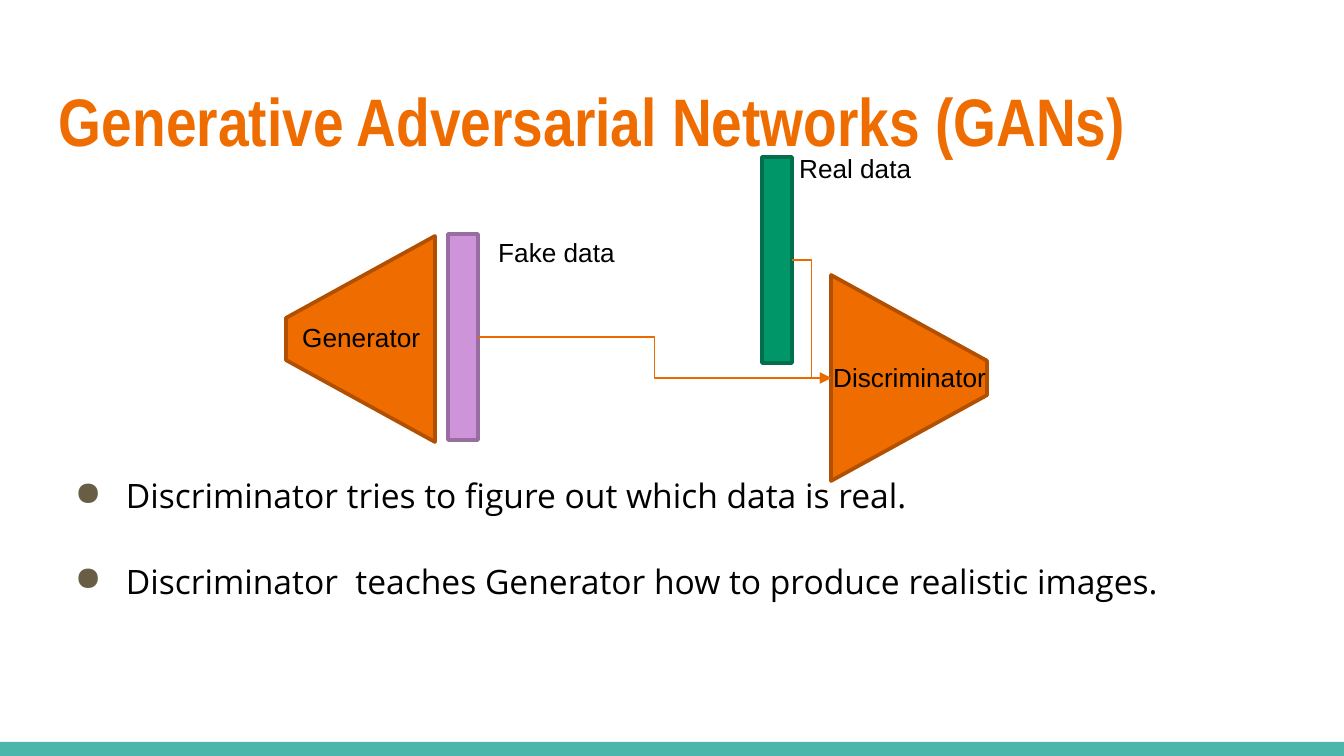
from lxml import etree
from pptx import Presentation
from pptx.dml.color import RGBColor
from pptx.enum.shapes import MSO_CONNECTOR, MSO_SHAPE
from pptx.enum.text import MSO_ANCHOR, MSO_AUTO_SIZE, PP_ALIGN
from pptx.oxml.ns import qn
from pptx.util import Pt

PX = 914400 / 134.4
ORANGE, ORANGE_EDGE = "EF6C00", "B15000"
ARROW = "EA6A00"


def px(*lengths):
    return [round(n * PX) for n in lengths]


def rgb(value):
    return RGBColor.from_string(value)


def add_block(slide, kind, box, fill, edge=None):
    sp = slide.shapes.add_shape(kind, *px(*box))
    sp.shadow.inherit = False
    sp.fill.solid()
    sp.fill.fore_color.rgb = rgb(fill)
    if edge:
        sp.line.color.rgb = rgb(edge)
        sp.line.width = Pt(2)
    else:
        sp.line.fill.background()
    return sp


def add_trapezoid(slide, box, rotation):
    """Place a trapezoid so that it fills the box once turned on its side."""
    x, y, w, h = box
    upright = (x + (w - h) / 2, y + (h - w) / 2, h, w)
    sp = add_block(slide, MSO_SHAPE.TRAPEZOID, upright, ORANGE, ORANGE_EDGE)
    sp.adjustments[0] = 0.55
    sp.rotation = rotation


def add_elbow_arrow(slide, start, end):
    cxn = slide.shapes.add_connector(MSO_CONNECTOR.ELBOW, *px(*start, *end))
    cxn.line.color.rgb = rgb(ARROW)
    cxn.line.width = Pt(0.75)
    etree.SubElement(cxn.line._get_or_add_ln(), qn("a:tailEnd"), type="triangle")
    etree.SubElement(cxn._element.spPr, qn("a:effectLst"))


def write(p, text, size=14, font="Arial", color="000000", bold=False):
    r = p.add_run()
    r.text = text
    r.font.size = Pt(size)
    r.font.name = font
    r.font.bold = bold
    r.font.color.rgb = rgb(color)


def add_label(slide, text, x, y, w):
    tf = slide.shapes.add_textbox(*px(x, y, w, 46)).text_frame
    tf.word_wrap = True
    write(tf.paragraphs[0], text)


def set_bullet(p, char, color):
    pPr = p._p.get_or_add_pPr()
    indent, hanging = px(67, -51)
    pPr.set("marL", str(indent))
    pPr.set("indent", str(hanging))
    bu_clr = etree.SubElement(pPr, qn("a:buClr"))
    etree.SubElement(bu_clr, qn("a:srgbClr"), val=color)
    etree.SubElement(pPr, qn("a:buChar"), char=char)


def set_margins(tf, margin):
    tf.margin_left = tf.margin_top = tf.margin_right = tf.margin_bottom = margin


def add_title(slide, text, box):
    title = slide.shapes.title
    title.left, title.top, title.width, title.height = px(*box)
    tf = title.text_frame
    tf.word_wrap = True
    tf.auto_size = MSO_AUTO_SIZE.NONE
    tf.vertical_anchor = MSO_ANCHOR.TOP
    set_margins(tf, px(13)[0])
    p = tf.paragraphs[0]
    p.alignment = PP_ALIGN.LEFT
    write(p, text, size=36, font="Arial Narrow", color=ORANGE, bold=True)


def add_gan_diagram(slide, box):
    x, y, w, h = box
    bar_w, bar_h = 30, 206
    fake_x, fake_y = x + 162, y + 88
    real_x, real_y = x + 476, y + 11
    disc_w = 156
    disc_x, disc_y = x + w - disc_w, y + h - bar_h
    entry = (disc_x, disc_y + bar_h / 2)

    add_trapezoid(slide, (x, y + 90, 149, bar_h), 270)
    add_block(slide, MSO_SHAPE.RECTANGLE, (fake_x, fake_y, bar_w, bar_h),
              "CE93D8", "986DA0")
    add_trapezoid(slide, (disc_x, disc_y, disc_w, bar_h), 90)
    add_block(slide, MSO_SHAPE.RECTANGLE, (real_x, real_y, bar_w, bar_h),
              "009668", "006F4D")
    for bar_x, bar_y in ((fake_x, fake_y), (real_x, real_y)):
        add_elbow_arrow(slide, (bar_x + bar_w, bar_y + bar_h / 2), entry)

    add_label(slide, "Fake data", x + 199, y + 84, 157)
    add_label(slide, "Generator", x + 3, y + 169, 157)
    add_label(slide, "Real data", x + 500, y, 140)
    add_label(slide, "Discriminator", x + 534, y + 209, 180)


def add_bullets(slide, lines, box):
    tf = slide.shapes.add_textbox(*px(*box)).text_frame
    tf.word_wrap = True
    set_margins(tf, px(13)[0])
    for i, line in enumerate(lines):
        p = tf.add_paragraph() if i else tf.paragraphs[0]
        p.line_spacing = 1.15
        if i:
            p.space_before = Pt(21)
        set_bullet(p, "●", "695D46")
        write(p, line, size=18, font="Open Sans")


def main():
    prs = Presentation()
    prs.slide_width, prs.slide_height = px(1344, 756)
    slide = prs.slides.add_slide(prs.slide_layouts[5])
    add_block(slide, MSO_SHAPE.RECTANGLE, (0, 742, 1344, 14), "4DB6AC")
    add_title(slide, "Generative Adversarial Networks (GANs)", (46, 66, 1252, 103))
    add_bullets(slide, [
        "Discriminator tries to figure out which data is real.",
        "Discriminator  teaches Generator how to produce realistic images.",
    ], (46, 456, 1252, 214))
    add_gan_diagram(slide, (286, 146, 701, 335))
    prs.save("out.pptx")


if __name__ == "__main__":
    main()
